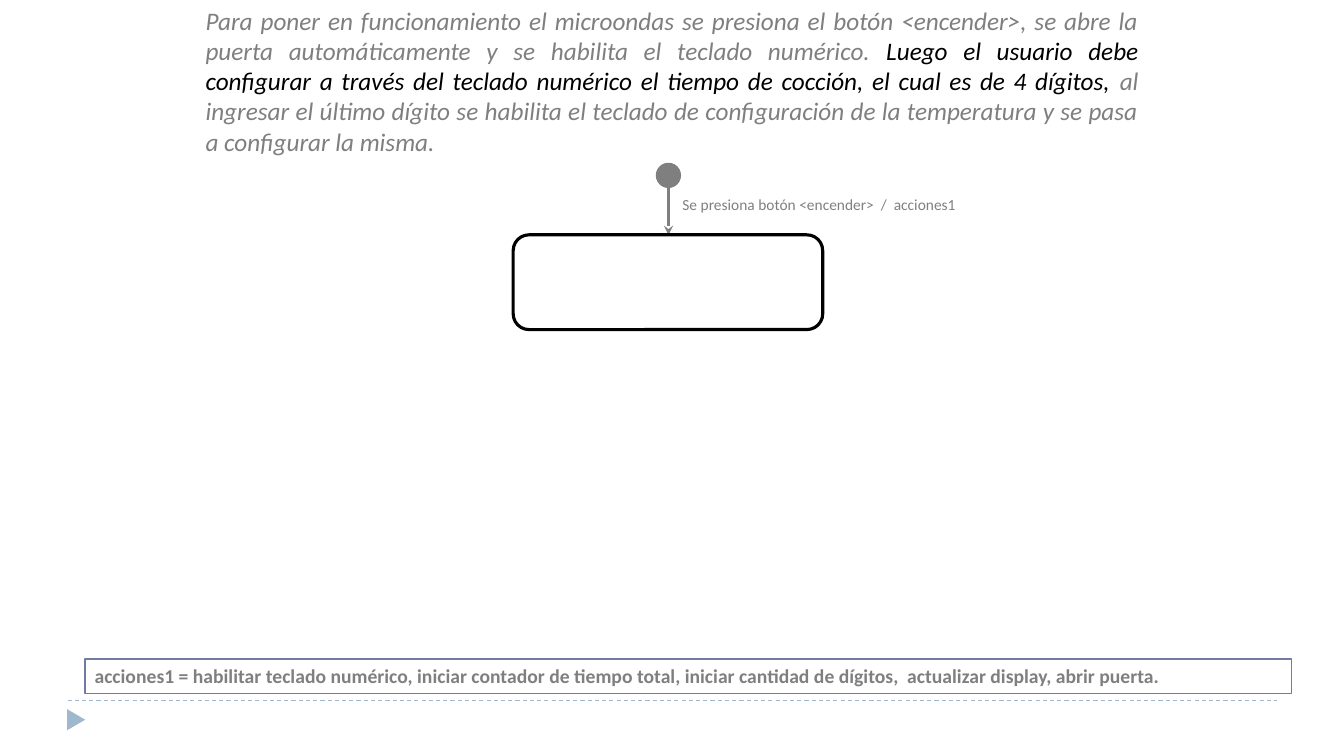
from dataclasses import dataclass

from lxml.etree import SubElement
from pptx import Presentation
from pptx.dml.color import RGBColor
from pptx.enum.dml import MSO_LINE
from pptx.enum.shapes import MSO_CONNECTOR, MSO_SHAPE
from pptx.enum.text import MSO_ANCHOR, PP_ALIGN
from pptx.oxml.ns import qn
from pptx.util import Emu, Pt

EMU_PER_PX = 9144


@dataclass(frozen=True)
class Theme:
    """Colours, font and type sizes of the slide."""

    font: str = "Calibri"
    muted: str = "7F7F7F"
    strong: str = "000000"
    paper: str = "FFFFFF"
    frame: str = "727CA3"
    accent: str = "9FB8CD"
    label_size: int = 11
    note_size: int = 14
    body_size: int = 18


def px(length):
    """Turn a length in px into EMU."""
    return Emu(length * EMU_PER_PX)


class SlideBuilder:
    """Draws elements on one slide in one style."""

    def __init__(self, slide, theme):
        """Keep the slide and its theme."""
        self.slide = slide
        self.theme = theme

    def line(self, start, end, color, width, dash=None, arrow=False):
        """Draw a straight line, optionally dashed or ending in an arrowhead."""
        connector = self.slide.shapes.add_connector(
            MSO_CONNECTOR.STRAIGHT, *map(px, start + end)
        )
        connector.line.color.rgb = RGBColor.from_string(color)
        connector.line.width = Pt(width)
        if dash:
            connector.line.dash_style = dash
        if arrow:
            outline = connector._element.spPr.find(qn("a:ln"))
            SubElement(outline, qn("a:tailEnd"), type="stealth")
        SubElement(connector._element.spPr, qn("a:effectLst"))

    def shape(self, kind, box, fill=None, outline=None, width=0.75, rotation=0):
        """Draw a preset shape and return it."""
        shape = self.slide.shapes.add_shape(kind, *map(px, box))
        shape.shadow.inherit = False
        shape.rotation = rotation
        if fill:
            shape.fill.solid()
            shape.fill.fore_color.rgb = RGBColor.from_string(fill)
        else:
            shape.fill.background()
        if outline:
            shape.line.color.rgb = RGBColor.from_string(outline)
            shape.line.width = Pt(width)
        else:
            shape.line.fill.background()
        return shape

    def text(self, box, pieces, size, **style):
        """Add a text box holding coloured pieces of one paragraph."""
        text_box = self.slide.shapes.add_textbox(*map(px, box))
        self.set_text(text_box, pieces, size, **style)

    def set_text(
        self, shape, pieces, size, align=PP_ALIGN.LEFT, bold=False, italic=False
    ):
        """Fill a shape with one paragraph of (text, colour) pieces."""
        text_frame = shape.text_frame
        text_frame.word_wrap = True
        text_frame.vertical_anchor = MSO_ANCHOR.TOP
        paragraph = text_frame.paragraphs[0]
        paragraph.alignment = align
        for text, color in pieces:
            run = paragraph.add_run()
            run.text = text
            run.font.name = self.theme.font
            run.font.size = Pt(size)
            run.font.bold = bold
            run.font.italic = italic
            run.font.color.rgb = RGBColor.from_string(color)


def main():
    """Build the microwave state diagram slide."""
    presentation = Presentation()
    presentation.slide_width = px(1333)
    presentation.slide_height = px(750)
    theme = Theme()
    slide = presentation.slides.add_slide(presentation.slide_layouts[6])
    builder = SlideBuilder(slide, theme)

    builder.line((67, 695), (1267, 695), theme.accent, 0.75, dash=MSO_LINE.DASH)
    builder.shape(
        MSO_SHAPE.ISOSCELES_TRIANGLE, (65, 705, 21, 18), fill=theme.accent, rotation=90
    )

    builder.shape(
        MSO_SHAPE.OVAL, (651, 162, 24, 24), fill=theme.muted, outline=theme.muted
    )
    builder.line((663, 186), (663, 233), theme.muted, 2.25, arrow=True)
    builder.text(
        (667, 189, 354, 29),
        [("Se presiona botón <encender>  /  acciones1", theme.muted)],
        theme.label_size,
    )
    builder.shape(
        MSO_SHAPE.ROUNDED_RECTANGLE,
        (509, 233, 307, 94),
        outline=theme.strong,
        width=2.25,
    )

    builder.text(
        (194, 0, 945, 162),
        [
            (
                "Para poner en funcionamiento el microondas se presiona el botón "
                "<encender>, se abre la puerta automáticamente y se habilita el "
                "teclado numérico. ",
                theme.muted,
            ),
            (
                "Luego el usuario debe configurar a través del teclado numérico el "
                "tiempo de cocción, el cual es de 4 dígitos, ",
                theme.strong,
            ),
            (
                "al ingresar el último dígito se habilita el teclado de "
                "configuración de la temperatura y se pasa a configurar la misma.",
                theme.muted,
            ),
        ],
        theme.body_size,
        align=PP_ALIGN.JUSTIFY,
        italic=True,
    )

    actions_note = builder.shape(
        MSO_SHAPE.RECTANGLE,
        (84, 654, 1197, 34),
        fill=theme.paper,
        outline=theme.frame,
        width=1.25,
    )
    builder.set_text(
        actions_note,
        [
            (
                "acciones1 = habilitar teclado numérico, iniciar contador de tiempo "
                "total, iniciar cantidad de dígitos,  actualizar display, abrir puerta.",
                theme.muted,
            )
        ],
        theme.note_size,
        bold=True,
    )
    presentation.save("out.pptx")


if __name__ == "__main__":
    main()
